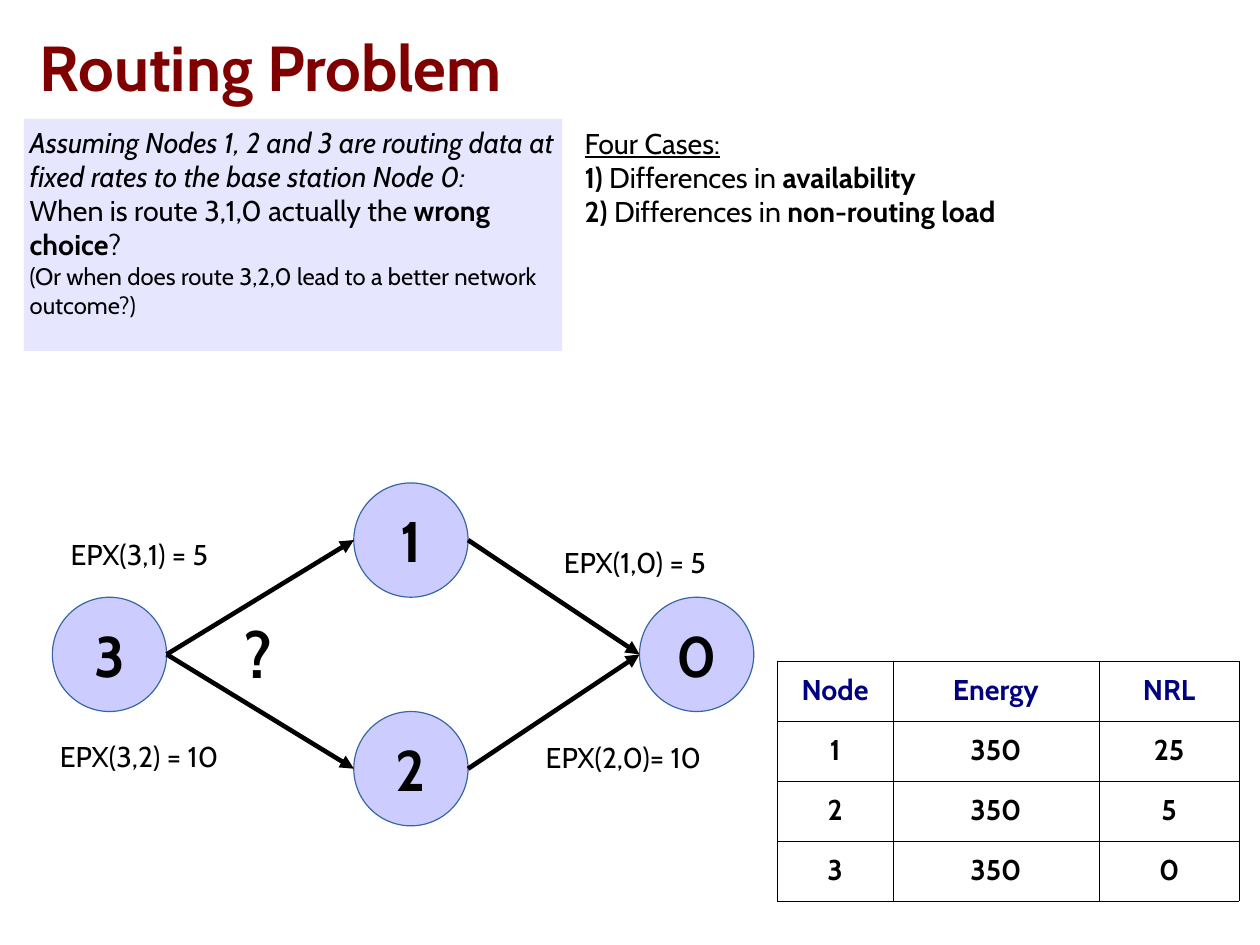
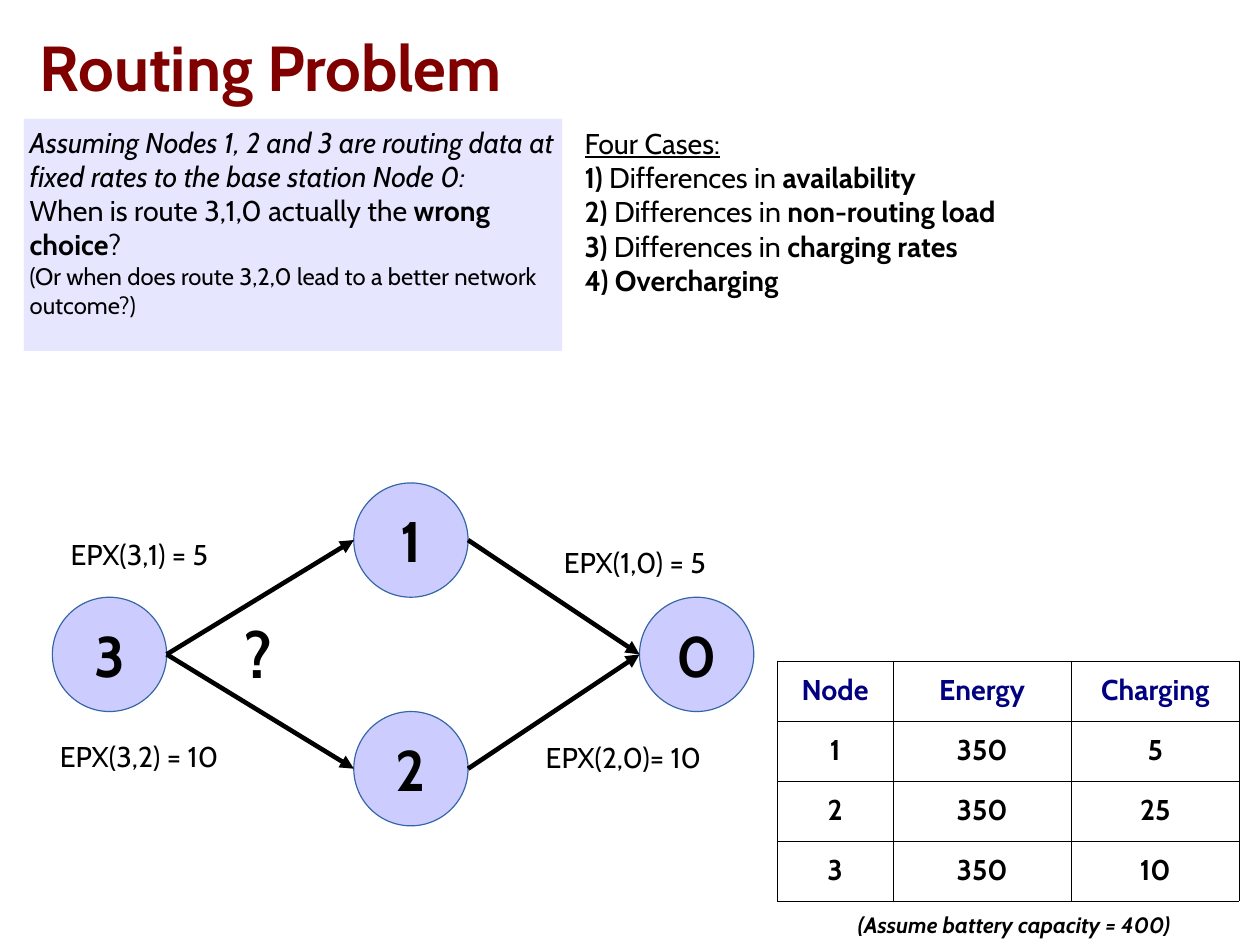
from typing import NamedTuple

from lxml.etree import SubElement
from pptx import Presentation
from pptx.dml.color import RGBColor
from pptx.enum.shapes import MSO_CONNECTOR as Link, MSO_SHAPE as Kind
from pptx.enum.text import MSO_ANCHOR as Anchor, MSO_AUTO_SIZE as Fit, PP_ALIGN as Align
from pptx.oxml import parse_xml
from pptx.oxml.ns import nsdecls, qn
from pptx.util import Pt

FONT = "Cabin"
BLACK, MAROON, NAVY = "000000", "800000", "000080"
PANEL, DISC, RIM = "E6E6FF", "CCCCFF", "3465A4"
SIZE = 18
DISC_SIZE = 72
ROW_HIGH = 37.8


class Run(NamedTuple):
    """Text with a style of the letters b, i and u."""
    text: str
    style: str = ""


class Para(NamedTuple):
    runs: list[Run]
    size: float = SIZE
    color: str = BLACK
    align: Align = Align.LEFT


class Box(NamedTuple):
    left: float
    top: float
    width: float
    height: float


class Node(NamedTuple):
    name: str
    x: float
    y: float


class Label(NamedTuple):
    text: str
    box: Box
    size: float = SIZE
    style: str = ""


class Page(NamedTuple):
    cases: int
    widths: list[float]
    rows: list[list[str]]
    note: str = ""


NODES = {node.name: node for node in (
    Node("1", 258.9, 340.2),
    Node("2", 258.9, 484.2),
    Node("0", 438.9, 412.2),
    Node("3", 69, 412.2),
)}
LINKS = ["10", "20", "32", "31"]
LABELS = [
    Label("EPX(1,0) = 5", Box(348.2, 339.6, 129.6, 28)),
    Label("EPX(2,0)= 10", Box(336.7, 462.8, 135.4, 43)),
    Label("EPX(3,1) = 5", Box(37.4, 334.4, 129.6, 28)),
    Label("EPX(3,2) = 10", Box(30.7, 462, 141, 28)),
    Label("?", Box(146.9, 383.8, 37.4, 54), 40, "b"),
]
PROBLEM = [
    Para([Run("Assuming Nodes 1, 2 and 3 are routing data at fixed rates "
              "to the base station Node 0:", "i")]),
    Para([Run("When is route 3,1,0 actually the "), Run("wrong choice", "b"), Run("?")]),
    Para([Run("(Or when does route 3,2,0 lead to a better network outcome?)")], 15),
]
CASES = [
    Para([Run("1)", "b"), Run(" Differences in "), Run("availability", "b")]),
    Para([Run("2) ", "b"), Run("Differences in "), Run("non-routing load", "b")]),
    Para([Run("3) ", "b"), Run("Differences in "), Run("charging rates", "b")]),
    Para([Run("4) Overcharging", "b")]),
]
PAGES = [
    Page(2, [73, 129.6, 88.6], [
        ["Node", "Energy", "NRL"],
        ["1", "350", "25"],
        ["2", "350", "5"],
        ["3", "350", "0"],
    ]),
    Page(4, [73, 112.3, 105.9], [
        ["Node", "Energy", "Charging"],
        ["1", "350", "5"],
        ["2", "350", "25"],
        ["3", "350", "10"],
    ], "(Assume battery capacity = 400)"),
]


def rgb(color: str) -> RGBColor:
    return RGBColor.from_string(color)


def style_font(font, style: str) -> None:
    if "b" in style:
        font.bold = True
    if "i" in style:
        font.italic = True
    if "u" in style:
        font.underline = True


def write(frame, paras: list[Para]) -> None:
    for k, para in enumerate(paras):
        line = frame.add_paragraph() if k else frame.paragraphs[0]
        line.alignment = para.align
        font = line.font
        font.name, font.size = FONT, Pt(para.size)
        font.color.rgb = rgb(para.color)
        shared = len({run.style for run in para.runs}) == 1
        if shared:
            style_font(font, para.runs[0].style)
        for run in para.runs:
            part = line.add_run()
            part.text = run.text
            if not shared:
                style_font(part.font, run.style)


def inset(area, left: float, top: float, right: float, bottom: float) -> None:
    area.margin_left, area.margin_top = Pt(left), Pt(top)
    area.margin_right, area.margin_bottom = Pt(right), Pt(bottom)


def add_text(slide, box: Box, paras: list[Para], wrap: bool = True):
    frame = slide.shapes.add_textbox(*map(Pt, box)).text_frame
    frame.word_wrap = wrap
    frame.auto_size = Fit.NONE if wrap else Fit.SHAPE_TO_FIT_TEXT
    write(frame, paras)
    return frame


def add_shape(slide, kind: Kind, box: Box, fill: str, paras: list[Para]):
    shape = slide.shapes.add_shape(kind, *map(Pt, box))
    shape.shadow.inherit = False
    shape.fill.solid()
    shape.fill.fore_color.rgb = rgb(fill)
    shape.line.fill.background()
    write(shape.text_frame, paras)
    return shape


def add_title(slide) -> None:
    frame = add_text(slide, Box(25.2, 0, 768.2, 82.8),
                     [Para([Run("Routing Problem", "b")], 40, MAROON)])
    frame.vertical_anchor = Anchor.MIDDLE
    inset(frame, 0, 0, 0, 0)


def add_panel(slide) -> None:
    panel = add_shape(slide, Kind.RECTANGLE, Box(15.1, 74.9, 339.1, 146.2), PANEL, PROBLEM)
    panel.text_frame.vertical_anchor = Anchor.TOP
    inset(panel.text_frame, 3.6, 3.6, 3.6, 0)


def add_node(slide, node: Node) -> None:
    half = DISC_SIZE / 2
    box = Box(node.x - half, node.y - half, DISC_SIZE, DISC_SIZE)
    disc = add_shape(slide, Kind.OVAL, box, DISC,
                     [Para([Run(node.name, "b")], 36, align=Align.CENTER)])
    disc.line.color.rgb = rgb(RIM)
    disc.line.width = Pt(0)
    disc.text_frame.vertical_anchor = Anchor.MIDDLE


def add_arrow(slide, tail: Node, head: Node) -> None:
    """Lead from the right of one disc to the left of another."""
    half = DISC_SIZE / 2
    arrow = slide.shapes.add_connector(
        Link.STRAIGHT, Pt(tail.x + half), Pt(tail.y), Pt(head.x - half), Pt(head.y))
    arrow.line.color.rgb = rgb(BLACK)
    arrow.line.width = Pt(2.89)
    props = arrow.element.spPr
    SubElement(props.find(qn("a:ln")), qn("a:tailEnd"), type="triangle")
    SubElement(props, qn("a:effectLst"))


def add_graph(slide) -> None:
    for node in NODES.values():
        add_node(slide, node)
    for tail, head in LINKS:
        add_arrow(slide, NODES[tail], NODES[head])
    for label in LABELS:
        add_text(slide, label.box, [Para([Run(label.text, label.style)], label.size)], False)


def add_edges(cell) -> None:
    props = cell._tc.get_or_add_tcPr()
    for k, side in enumerate("LRTB"):
        props.insert(k, parse_xml(
            f'<a:ln{side} {nsdecls("a")} w="{Pt(0.06)}"><a:solidFill>'
            f'<a:srgbClr val="{BLACK}"/></a:solidFill></a:ln{side}>'))


def add_grid(slide, page: Page) -> None:
    box = Box(489.6, 416.2, sum(page.widths), ROW_HIGH * len(page.rows))
    table = slide.shapes.add_table(
        len(page.rows), len(page.widths), *map(Pt, box)).table
    table.first_row = table.horz_banding = False
    for col, width in zip(table.columns, page.widths):
        col.width = Pt(width)
    for r, row in enumerate(page.rows):
        table.rows[r].height = Pt(ROW_HIGH)
        for c, text in enumerate(row):
            cell = table.cell(r, c)
            cell.fill.background()
            cell.vertical_anchor = Anchor.MIDDLE
            side = 2.9 if c == len(row) - 1 else 7.2
            inset(cell, side, 3.6, side, 3.6)
            color = BLACK if r else NAVY
            write(cell.text_frame, [Para([Run(text, "b")], color=color, align=Align.CENTER)])
            add_edges(cell)


def add_page(deck, page: Page) -> None:
    slide = deck.slides.add_slide(deck.slide_layouts[6])
    add_title(slide)
    add_graph(slide)
    add_panel(slide)
    add_text(slide, Box(361.2, 75.6, 367.9, 153.4 if page.cases < 3 else 195.1),
             [Para([Run("Four Cases:", "u")]), *CASES[:page.cases]])
    add_grid(slide, page)
    if page.note:
        add_text(slide, Box(490.7, 570.2, 296.6, 23.8),
                 [Para([Run(page.note, "bi")], 14, align=Align.CENTER)])


def main() -> None:
    deck = Presentation()
    deck.slide_width, deck.slide_height = Pt(793.75), Pt(595.25)
    for page in PAGES:
        add_page(deck, page)
    deck.save("out.pptx")


if __name__ == "__main__":
    main()
